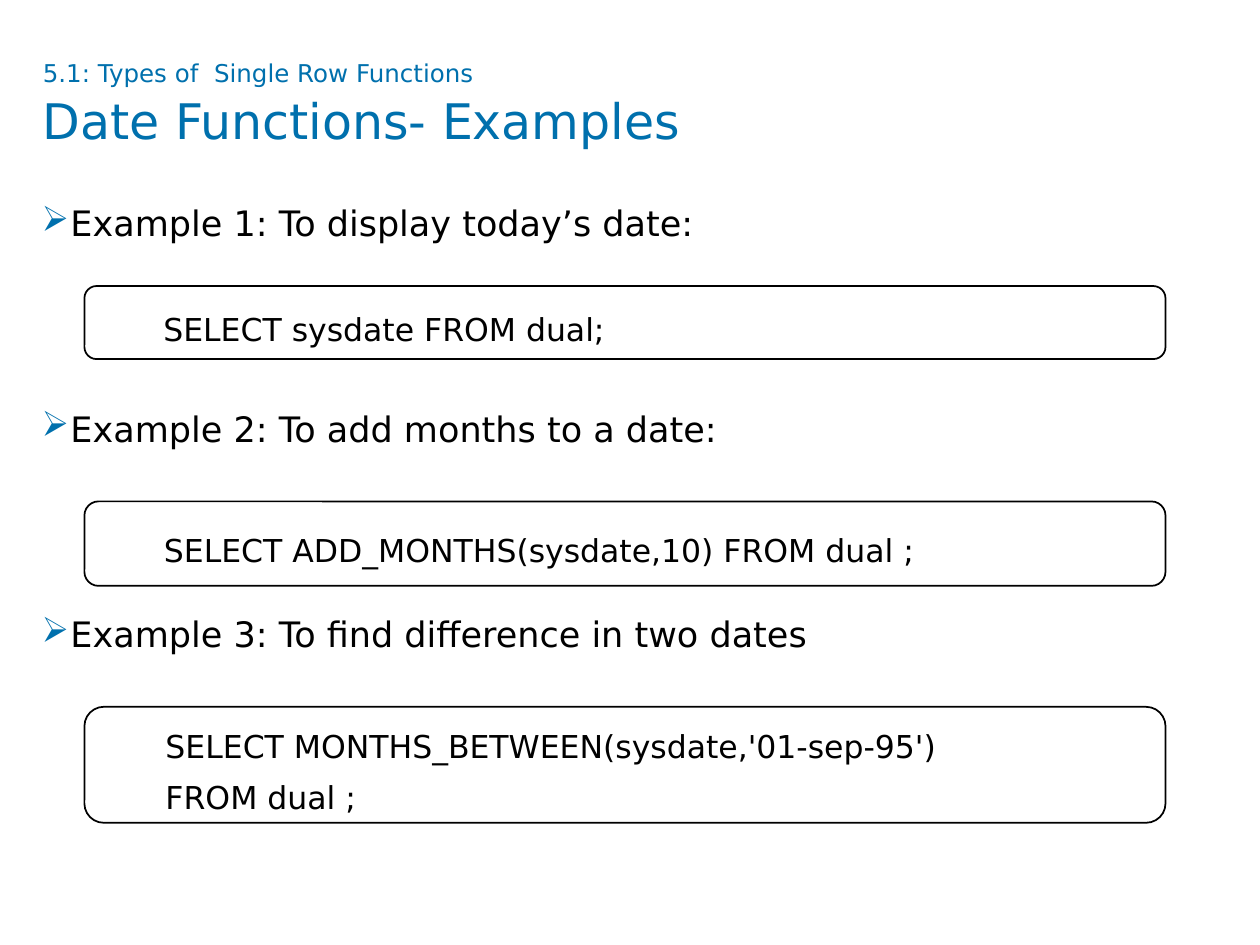
from dataclasses import dataclass

import pptx
import pptx.dml.color
import pptx.enum.shapes
import pptx.enum.text
import pptx.oxml
import pptx.oxml.ns
import pptx.util
from pptx.util import Inches

RGB = pptx.dml.color.RGBColor.from_string


@dataclass(frozen=True)
class Theme:
    font: str = "DejaVu Sans"
    accent: str = "0070AD"
    ink: str = "000000"
    paper: str = "FFFFFF"
    section_size: int = 14
    title_size: int = 28
    body_size: int = 20
    code_size: int = 18


THEME = Theme()

EXAMPLES = [
    "Example 1: To display today’s date:",
    "Example 2: To add months to a date:",
    "Example 3: To find difference in two dates",
]
# Top, height and statement of each code box
STATEMENTS = [
    (2.27, 0.58, "SELECT sysdate FROM dual;"),
    (3.98, 0.67, "SELECT ADD_MONTHS(sysdate,10) FROM dual ;"),
    (5.61, 0.92, "SELECT MONTHS_BETWEEN(sysdate,'01-sep-95')\nFROM dual ;"),
]


def style(p, size, color):
    for r in p.runs:
        r.font.name = THEME.font
        r.font.size = pptx.util.Pt(size)
        r.font.color.rgb = RGB(color)


def add_text_frame(s, left, top, width, height):
    """Add a wrapping text box without insets and return its frame."""
    tf = s.shapes.add_textbox(left, top, width, height).text_frame
    tf.word_wrap = True
    tf.margin_left = tf.margin_right = tf.margin_top = tf.margin_bottom = 0
    return tf


def set_indent(p, left, first=0):
    pPr = p._p.get_or_add_pPr()
    pPr.set("marL", str(Inches(left)))
    pPr.set("indent", str(Inches(first)))
    return pPr


def add_bullet(p):
    pPr = set_indent(p, 0.23, -0.23)
    ns = pptx.oxml.ns.nsdecls("a")
    for xml in (
        f'<a:buClr {ns}><a:srgbClr val="{THEME.accent}"/></a:buClr>',
        f'<a:buChar {ns} char="➢"/>',
    ):
        pPr.append(pptx.oxml.parse_xml(xml))


def add_heading(s, left, top, width, height):
    tf = add_text_frame(s, left, top, width, height)
    tf.text = "5.1: Types of  Single Row Functions\nDate Functions- Examples"
    section, title = tf.paragraphs
    style(section, THEME.section_size, THEME.accent)
    style(title, THEME.title_size, THEME.accent)
    title.space_before = pptx.util.Pt(2)


def add_examples(s, left, top, width, height):
    tf = add_text_frame(s, left, top, width, height)
    tf.text = "\n".join(EXAMPLES)
    for i, p in enumerate(tf.paragraphs):
        add_bullet(p)
        p.alignment = pptx.enum.text.PP_ALIGN.JUSTIFY
        p.line_spacing = 0.9
        if i:
            p.space_before = pptx.util.Pt(95.6)
        style(p, THEME.body_size, THEME.ink)


def add_code_box(s, left, top, width, height, code):
    sp = s.shapes.add_shape(
        pptx.enum.shapes.MSO_SHAPE.ROUNDED_RECTANGLE, left, top, width, height
    )
    sp.shadow.inherit = False
    sp.fill.solid()
    sp.fill.fore_color.rgb = RGB(THEME.paper)
    sp.line.color.rgb = RGB(THEME.ink)
    sp.line.width = pptx.util.Pt(1)
    tf = sp.text_frame
    tf.word_wrap = True
    tf.vertical_anchor = pptx.enum.text.MSO_ANCHOR.MIDDLE
    tf.text = code
    for p in tf.paragraphs:
        p.level = 1
        set_indent(p, 0.5)
        p.alignment = pptx.enum.text.PP_ALIGN.LEFT
        p.line_spacing = 1.35
        style(p, THEME.code_size, THEME.ink)


def main():
    prs = pptx.Presentation()
    prs.slide_width, prs.slide_height = Inches(10), Inches(7.5)
    s = prs.slides.add_slide(prs.slide_layouts[6])
    add_heading(s, Inches(0.34), Inches(0.46), Inches(9.33), Inches(0.94))
    add_examples(s, Inches(0.33), Inches(1.64), Inches(9.34), Inches(5.08))
    for top, height, code in STATEMENTS:
        add_code_box(s, Inches(0.67), Inches(top), Inches(8.58), Inches(height), code)
    prs.save("out.pptx")


if __name__ == "__main__":
    main()
